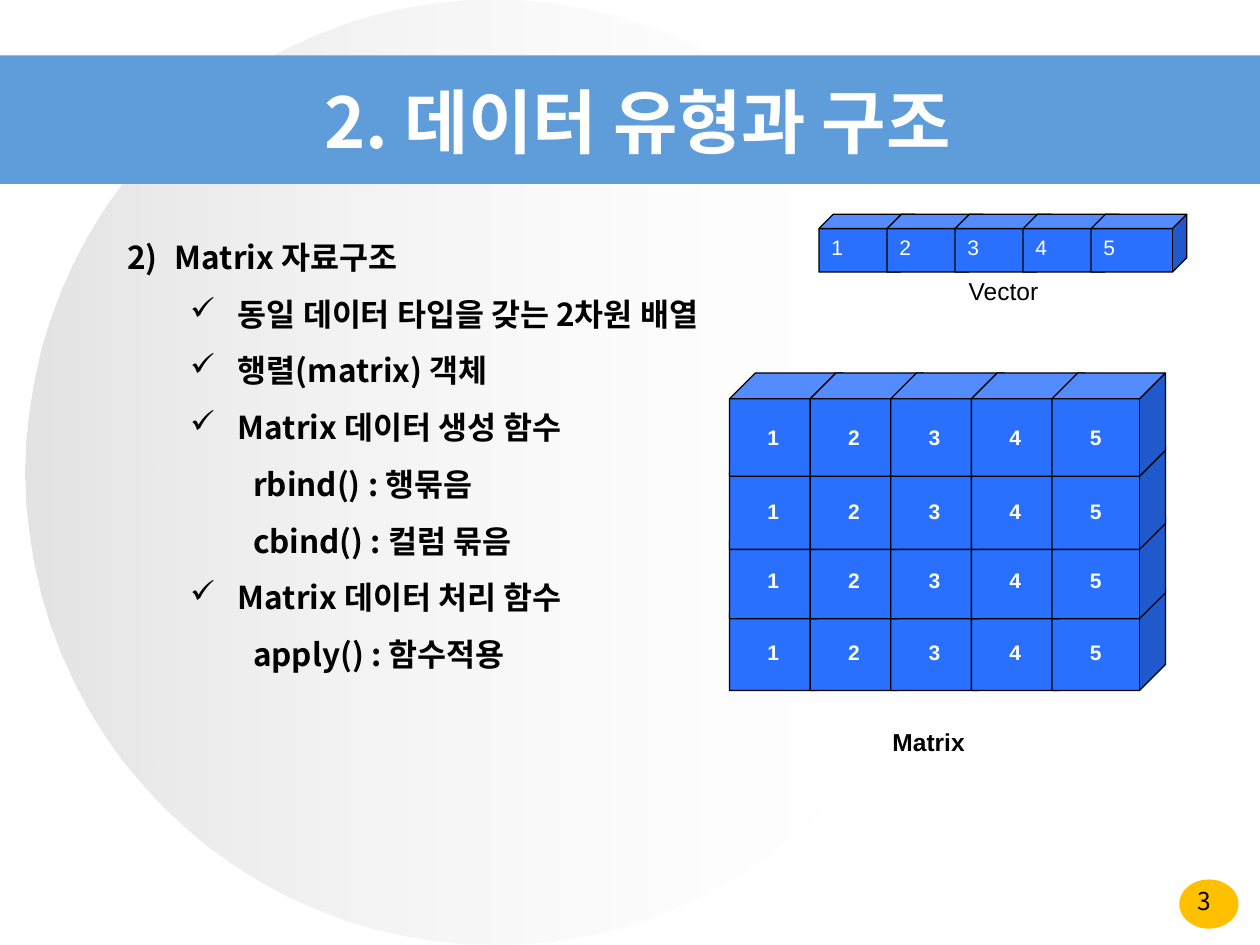
from lxml.etree import SubElement
from pptx import Presentation
from pptx.dml.color import RGBColor
from pptx.enum.shapes import MSO_SHAPE
from pptx.enum.text import MSO_ANCHOR, MSO_AUTO_SIZE, PP_ALIGN
from pptx.oxml.ns import qn
from pptx.util import Inches, Pt

HUES = {"band": "5E9CDA", "badge": "FFC000", "cube": "2970FF", "gray": "C0C0C0",
        "white": "FFFFFF", "black": "000000"}
HANGUL = "Noto Sans CJK KR"
TOPICS = [
    (0, "1)", "Matrix 자료구조"),
    (1, "✓", "동일 데이터 타입을 갖는 2차원 배열"),
    (1, "✓", "행렬(matrix) 객체"),
    (1, "✓", "Matrix 데이터 생성 함수"),
    (2, "", "rbind() : 행묶음"),
    (2, "", "cbind() : 컬럼 묶음"),
    (1, "✓", "Matrix 데이터 처리 함수"),
    (2, "", "apply() : 함수적용"),
]


def color(key):
    """Look up a named colour."""
    return RGBColor.from_string(HUES[key])


def write(para, text, size, hue, bold=False, face=HANGUL):
    """Add one styled run to a paragraph."""
    run = para.add_run()
    run.text = text
    font = run.font
    font.name, font.size, font.bold = face, Pt(size), bold
    font.color.rgb = color(hue)
    SubElement(run._r.get_or_add_rPr(), qn("a:ea"), typeface=face)


def shape(shapes, kind, box, fill=None, line=None):
    """Add a flat preset shape."""
    item = shapes.add_shape(kind, *map(Inches, box))
    item.shadow.inherit = False
    if fill:
        item.fill.solid()
        item.fill.fore_color.rgb = color(fill)
    if line:
        item.line.color.rgb = color(line)
        item.line.width = Pt(0.75)
    else:
        item.line.fill.background()
    return item


def disc(shapes):
    """Add the large circle that fades to the right."""
    item = shape(shapes, MSO_SHAPE.OVAL, (0.2, 0, 7.44, 7.5))
    item.fill.gradient()
    item.fill.gradient_angle = 0
    for stop, hue, alpha in zip(item.fill.gradient_stops, ("gray", "white"), (44, 0)):
        stop.color.rgb = color(hue)
        tint = stop._gs.find(qn("a:srgbClr"))
        SubElement(tint, qn("a:alpha"), val=str(alpha * 1000))


def label(shapes, box, text, size, hue="black", bold=False, face=HANGUL,
          anchor=MSO_ANCHOR.TOP):
    """Add a centred line of text."""
    frame = shapes.add_textbox(*map(Inches, box)).text_frame
    frame.word_wrap = True
    frame.vertical_anchor = anchor
    para = frame.paragraphs[0]
    para.alignment = PP_ALIGN.CENTER
    write(para, text, size, hue, bold, face)


def mark(para, level, sign):
    """Set the indent and bullet of a paragraph."""
    props = para._p.get_or_add_pPr()
    props.set("marL", str(Inches(0.38 + 0.5 * level)))
    props.set("indent", str(Inches(-0.38)))
    if sign == "1)":
        SubElement(props, qn("a:buAutoNum"), type="arabicParenR", startAt="2")
    elif sign:
        SubElement(props, qn("a:buChar"), char=sign)
    else:
        SubElement(props, qn("a:buNone"))


def outline(shapes):
    """Add the list of topics."""
    box = map(Inches, (0.91, 1.69, 7.01, 3.74))
    frame = shapes.add_textbox(*box).text_frame
    frame.word_wrap = True
    frame.auto_size = MSO_AUTO_SIZE.SHAPE_TO_FIT_TEXT
    for i, (level, sign, text) in enumerate(TOPICS):
        para = frame.add_paragraph() if i else frame.paragraphs[0]
        mark(para, level, sign)
        para.level = level
        para.line_spacing = Pt(32.4)
        write(para, text, 18, "black", True)


def cubes(shapes, left, top, step, size, align, anchor, bold):
    """Add a row of five numbered cubes."""
    for i in range(5):
        box = (left + i * step, top, *size)
        item = shape(shapes, MSO_SHAPE.CUBE, box, "cube", "black")
        frame = item.text_frame
        frame.vertical_anchor = anchor
        para = frame.paragraphs[0]
        para.alignment = align
        write(para, str(i + 1), 12, "white", bold, "Arial")


def main():
    """Build and save the slide."""
    deck = Presentation()
    deck.slide_width, deck.slide_height = Inches(10), Inches(7.5)
    shapes = deck.slides.add_slide(deck.slide_layouts[6]).shapes

    shape(shapes, MSO_SHAPE.OVAL, (9.36, 6.98, 0.47, 0.39), "badge")
    disc(shapes)
    shape(shapes, MSO_SHAPE.RECTANGLE, (0, 0.44, 10, 1.02), "band")
    label(shapes, (0.12, 0.58, 9.88, 0.75), "2. 데이터 유형과 구조", 40, "white", True,
          anchor=MSO_ANCHOR.MIDDLE)
    label(shapes, (9.12, 6.98, 0.88, 0.29), "3", 14)
    outline(shapes)

    matrix = shapes.add_group_shape().shapes
    for top in (4.66, 4.09, 3.54, 2.96):
        cubes(matrix, 5.79, top, 0.64, (0.9, 0.82), PP_ALIGN.CENTER,
              MSO_ANCHOR.MIDDLE, True)
    label(shapes, (6.73, 5.72, 1.28, 0.34), "Matrix", 14, bold=True, face="Arial")

    vector = shapes.add_group_shape().shapes
    cubes(vector, 6.5, 1.7, 0.54, (0.76, 0.46), PP_ALIGN.LEFT, MSO_ANCHOR.TOP, False)
    label(vector, (6.83, 2.14, 2.27, 0.47), "Vector", 14, face="Arial")

    deck.save("out.pptx")


if __name__ == "__main__":
    main()
